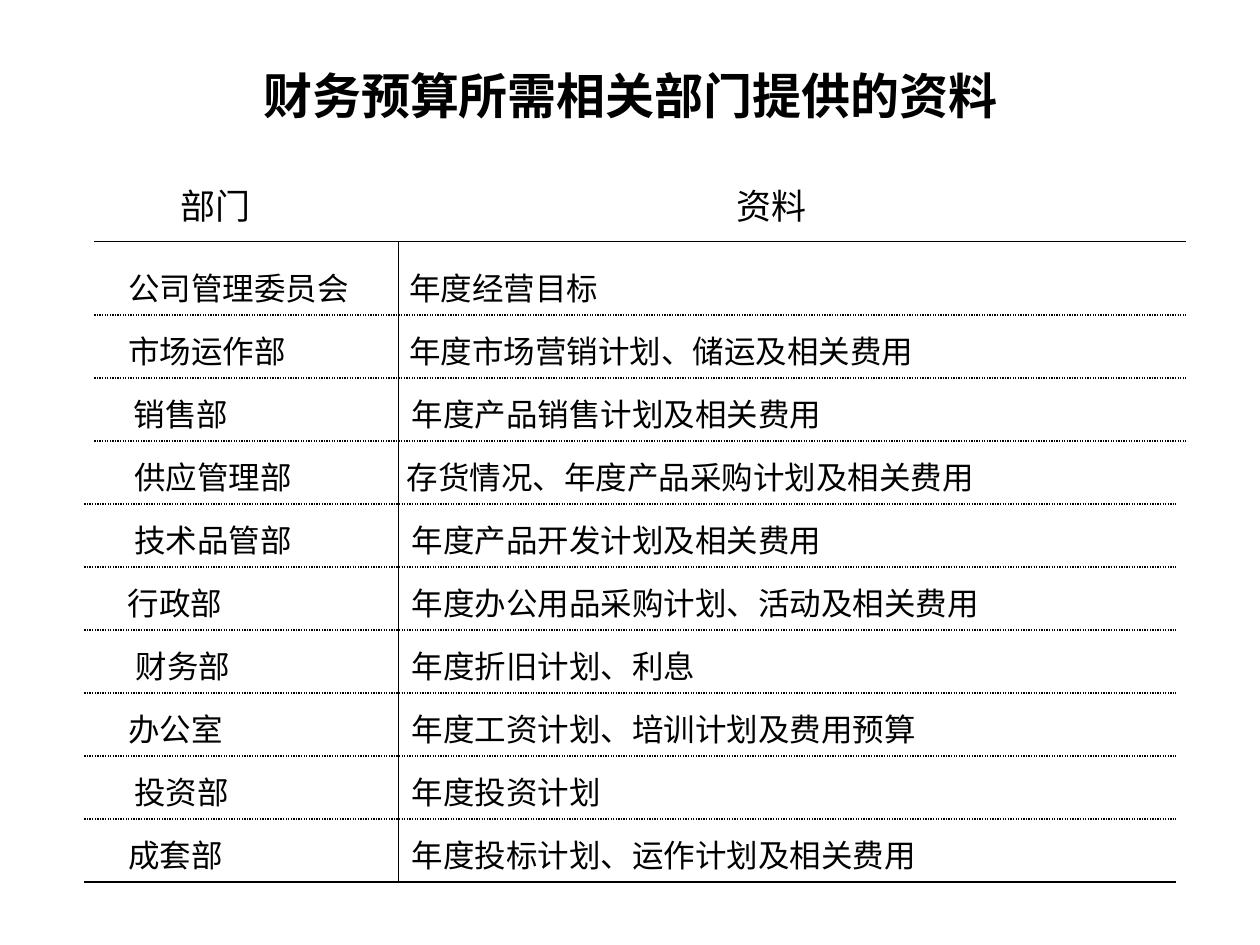
from lxml import etree
from pptx import Presentation
from pptx.dml.color import RGBColor
from pptx.enum.dml import MSO_LINE
from pptx.enum.shapes import MSO_CONNECTOR
from pptx.enum.text import MSO_ANCHOR, MSO_AUTO_SIZE, PP_ALIGN
from pptx.oxml.ns import qn
from pptx.util import Cm, Pt

BLACK = RGBColor(0, 0, 0)
WHITE = RGBColor(255, 255, 255)
STRAIGHT = MSO_CONNECTOR.STRAIGHT
DOTTED = MSO_LINE.ROUND_DOT
FIT_SHAPE = MSO_AUTO_SIZE.SHAPE_TO_FIT_TEXT
NO_FIT = MSO_AUTO_SIZE.NONE
MIDDLE = MSO_ANCHOR.MIDDLE
CENTER = PP_ALIGN.CENTER

TITLE_FORMAT = {"name": "Times New Roman", "size": Pt(28), "bold": True}
HEAD_FORMAT = {"name": "Times New Roman", "size": Pt(20), "bold": False}
BODY_FORMAT = {"name": "Times New Roman", "size": Pt(18), "bold": False}

ROW_STEP = 1.27
FIRST_RULE = 6.35
FIRST_TEXT = 5.3
HEAD_RULE = 4.87
HEAD_TEXT = 3.6
RULE_WIDTH = 22
UPPER_LEFT, LOWER_LEFT = 1.9, 1.7
UPPER_RULES = 3
DIVIDER = 8.04
CHAR_WIDTH = 0.64
INSETS = 0.51

ROWS = [
    ("公司管理委员会", 2.34, "年度经营目标", 8),
    ("市场运作部", 2.34, "年度市场营销计划、储运及相关费用", 8),
    ("销售部", 2.45, "年度产品销售计划及相关费用", 8.05),
    ("供应管理部", 2.46, "存货情况、年度产品采购计划及相关费用", 7.95),
    ("技术品管部", 2.46, "年度产品开发计划及相关费用", 8.05),
    ("行政部", 2.33, "年度办公用品采购计划、活动及相关费用", 8.05),
    ("财务部", 2.49, "年度折旧计划、利息", 8.05),
    ("办公室", 2.34, "年度工资计划、培训计划及费用预算", 8.05),
    ("投资部", 2.46, "年度投资计划", 8.05),
    ("成套部", 2.34, "年度投标计划、运作计划及相关费用", 8.05),
]


def write_text(p, text, formats):
    r = p.add_run()
    r.text = text
    for name, value in formats.items():
        setattr(r.font, name, value)
    r.font.color.rgb = BLACK


def add_title(s, text):
    sp = s.shapes.title
    sp.left, sp.top, sp.width, sp.height = Cm(1.91), Cm(1.06), Cm(21.59), Cm(1.69)
    tf = sp.text_frame
    tf.vertical_anchor = MIDDLE
    tf.auto_size = NO_FIT
    p = tf.paragraphs[0]
    p.alignment = CENTER
    write_text(p, text, TITLE_FORMAT)


def add_label(s, text, left, top, width, height, formats):
    sp = s.shapes.add_textbox(Cm(left), Cm(top), Cm(width), Cm(height))
    tf = sp.text_frame
    tf.word_wrap = False
    tf.auto_size = FIT_SHAPE
    write_text(tf.paragraphs[0], text, formats)


def add_entry(s, text, left, top):
    width = len(text) * CHAR_WIDTH + INSETS
    add_label(s, text, left, top, width, 1.02, BODY_FORMAT)


def add_rule(s, x1, y1, x2, y2, dash=None):
    line = s.shapes.add_connector(STRAIGHT, Cm(x1), Cm(y1), Cm(x2), Cm(y2))
    line.line.color.rgb = BLACK
    line.line.width = Pt(0.75)
    if dash:
        line.line.dash_style = dash
    etree.SubElement(line._element.spPr, qn("a:effectLst"))


def main():
    prs = Presentation()
    prs.slide_width, prs.slide_height = Cm(25.4), Cm(19.05)
    s = prs.slides.add_slide(prs.slide_layouts[5])
    s.background.fill.solid()
    s.background.fill.fore_color.rgb = WHITE

    add_title(s, "财务预算所需相关部门提供的资料")
    add_label(s, "部门", 3.38, HEAD_TEXT, 2, 1.12, HEAD_FORMAT)
    add_label(s, "资料", 14.6, HEAD_TEXT, 3.38, 1.12, HEAD_FORMAT)

    last = len(ROWS) - 1
    add_rule(s, UPPER_LEFT, HEAD_RULE, UPPER_LEFT + RULE_WIDTH, HEAD_RULE)
    add_rule(s, DIVIDER, HEAD_RULE, DIVIDER, FIRST_RULE + last * ROW_STEP)
    for i, (department, department_left, material, material_left) in enumerate(ROWS):
        top = FIRST_TEXT + i * ROW_STEP
        add_entry(s, department, department_left, top)
        add_entry(s, material, material_left, top)
        left = UPPER_LEFT if i < UPPER_RULES else LOWER_LEFT
        y = FIRST_RULE + i * ROW_STEP
        add_rule(s, left, y, left + RULE_WIDTH, y, DOTTED if i < last else None)

    prs.save("out.pptx")


if __name__ == "__main__":
    main()
